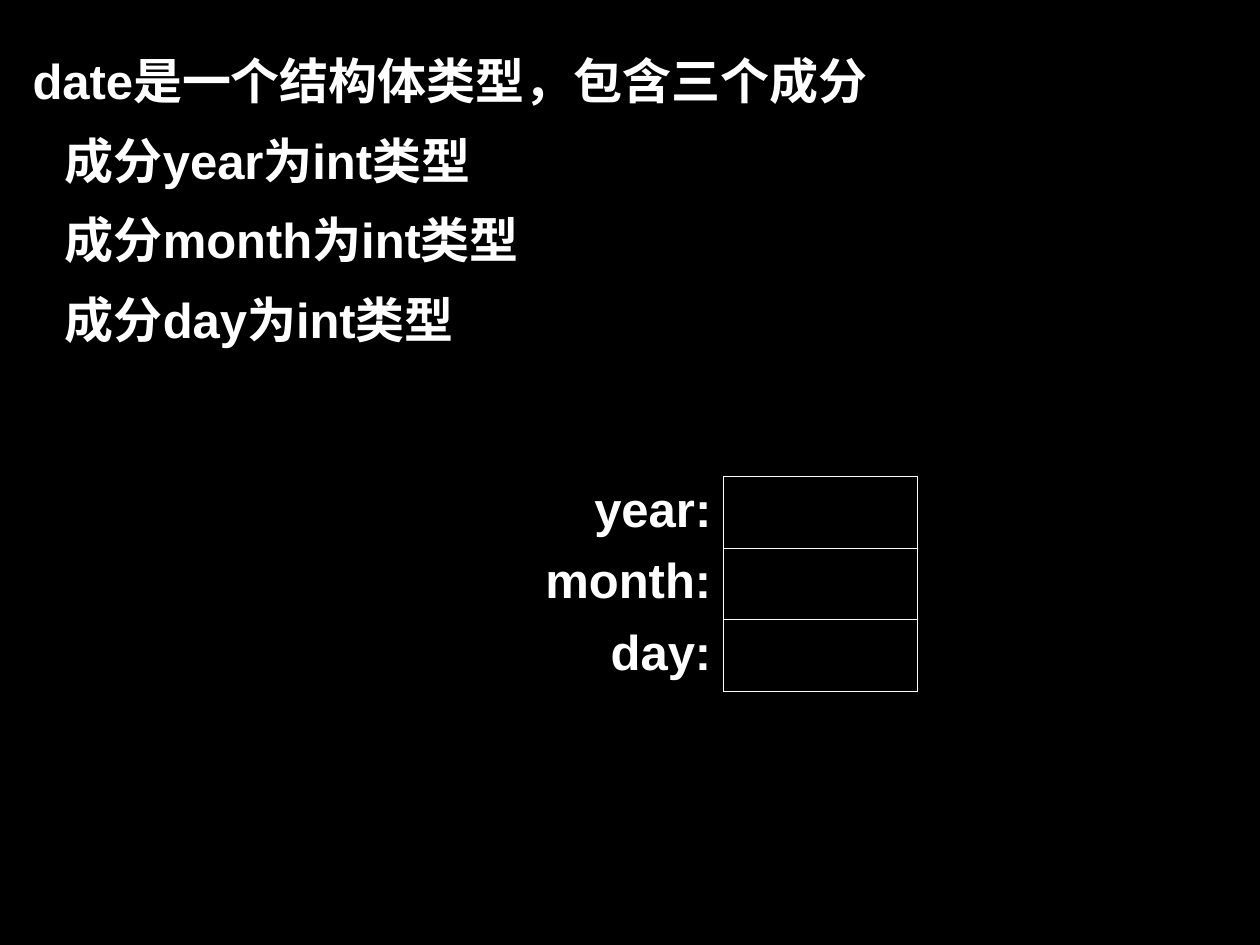
"""Build a slide that describes the date structure and its three members."""
from lxml import etree
from pptx import Presentation
from pptx.dml.color import RGBColor
from pptx.enum import text
from pptx.oxml import ns
from pptx.util import Pt

BLACK = RGBColor(0x00, 0x00, 0x00)
WHITE = RGBColor(0xFF, 0xFF, 0xFF)

HEADING = "date是一个结构体类型，包含三个成分"
MEMBERS = ["year", "month", "day"]
MEMBER_TEXT = "成分{}为int类型"

SLIDE_W, SLIDE_H = 720, 540
TEXT_BOX = (11.5, 20.2, 519, 183)
TABLE_LEFT, TABLE_TOP = 303.3, 272.4
COL_WIDTHS = (110.3, 110.8)
ROW_H = 40.8
MEMBER_INDENT = 18.5
BORDER_W = 0.45
SIDES = ("L", "R", "T", "B")
FONT = {"name": "Arial", "size": Pt(28), "bold": True}
SPACING = {"line_spacing": 1.15, "space_after": Pt(3.5)}


def apply(target, values):
    for name, value in values.items():
        setattr(target, name, value)


def write(p, content):
    r = p.add_run()
    r.text = content
    apply(r.font, FONT)
    r.font.color.rgb = WHITE


def set_borders(cell, visible):
    tc_pr = cell._tc.get_or_add_tcPr()
    for side in SIDES:
        ln = etree.SubElement(tc_pr, ns.qn(f"a:ln{side}"), w=str(Pt(BORDER_W)))
        if side in visible:
            fill = etree.SubElement(ln, ns.qn("a:solidFill"))
            etree.SubElement(fill, ns.qn("a:srgbClr"), val=str(WHITE))
        else:
            etree.SubElement(ln, ns.qn("a:noFill"))
    cell.fill.background()


def add_description(s):
    tf = s.shapes.add_textbox(*map(Pt, TEXT_BOX)).text_frame
    tf.word_wrap = True
    tf.auto_size = text.MSO_AUTO_SIZE.SHAPE_TO_FIT_TEXT
    lines = [HEADING] + [MEMBER_TEXT.format(m) for m in MEMBERS]
    for i, line in enumerate(lines):
        p = tf.add_paragraph() if i else tf.paragraphs[0]
        apply(p, SPACING)
        if i:
            p.space_before = Pt(3.5)
            p._p.get_or_add_pPr().set("marL", str(Pt(MEMBER_INDENT)))
        write(p, line)


def add_member_table(s):
    rows, cols = len(MEMBERS), len(COL_WIDTHS)
    box = (TABLE_LEFT, TABLE_TOP, sum(COL_WIDTHS), rows * ROW_H)
    table = s.shapes.add_table(rows, cols, *map(Pt, box)).table
    apply(table, {"first_row": False, "horz_banding": False})
    for col, width in zip(table.columns, COL_WIDTHS):
        col.width = Pt(width)
    for i, member in enumerate(MEMBERS):
        table.rows[i].height = Pt(ROW_H)
        label, value = table.cell(i, 0), table.cell(i, 1)
        set_borders(label, "R")
        set_borders(value, SIDES)
        p = label.text_frame.paragraphs[0]
        p.alignment = text.PP_ALIGN.RIGHT
        write(p, f"{member}:")


def main():
    prs = Presentation()
    apply(prs, {"slide_width": Pt(SLIDE_W), "slide_height": Pt(SLIDE_H)})
    s = prs.slides.add_slide(prs.slide_layouts[6])
    s.background.fill.solid()
    s.background.fill.fore_color.rgb = BLACK
    add_member_table(s)
    add_description(s)
    prs.save("out.pptx")


if __name__ == "__main__":
    main()
